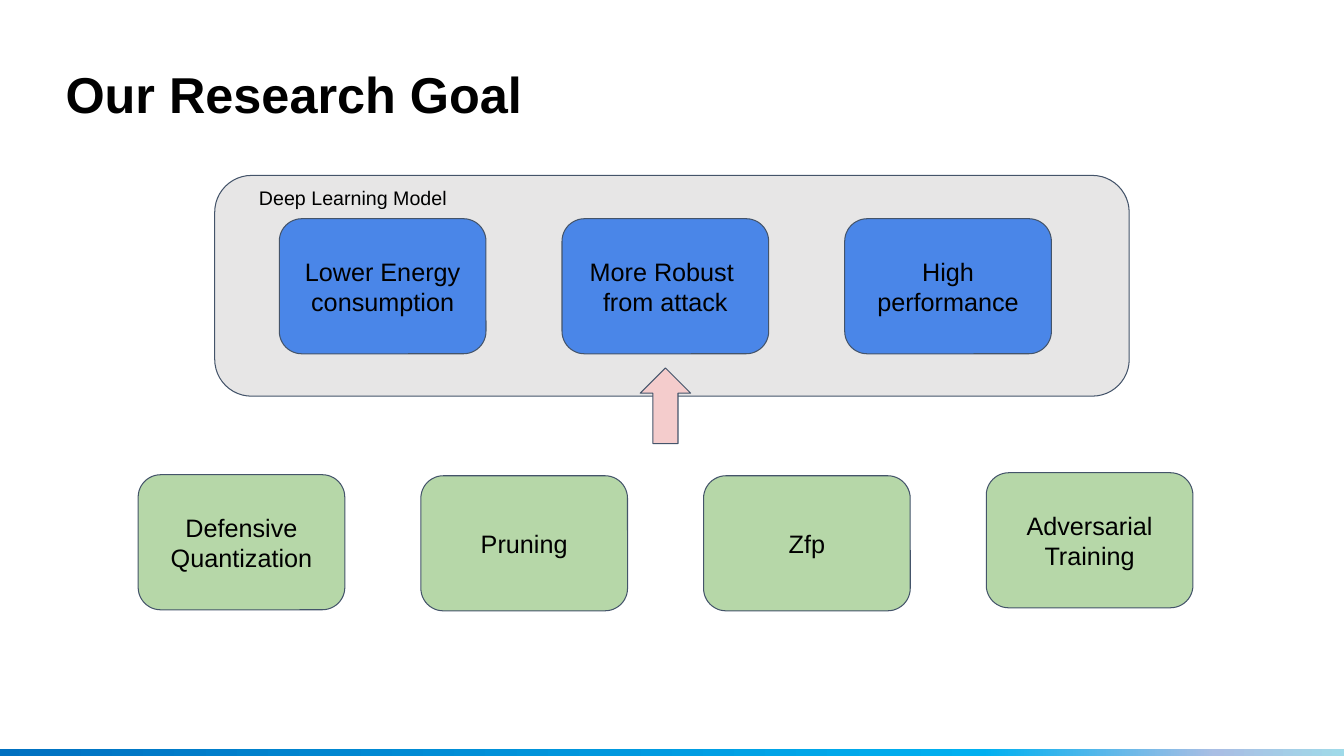
"""Build the research goal slide: techniques that lead to a better deep learning model."""
from copy import deepcopy

from pptx import Presentation
from pptx.dml.color import RGBColor
from pptx.enum import shapes, text
from pptx.util import Inches, Pt

TITLE = "Our Research Goal"
MODEL = "Deep Learning Model"
GOALS = [
    ("Lower Energy\nconsumption", 2.17),
    ("More Robust \nfrom attack", 2.17),
    ("High performance", 2.17),
]
TECHNIQUES = [
    ("Defensive\nQuantization", 4.71),
    ("Pruning", 4.72),
    ("Zfp", 4.72),
    ("Adversarial Training", 4.69),
]
ROWS = [(GOALS, 2.77, "4A86E8"), (TECHNIQUES, 1.37, "B6D7A8")]
CARD_WIDTH, CARD_HEIGHT, CARD_STEP = 2.05, 1.34, 2.804
BAR_STOPS = [(0, "0070C0"), (0.73, "00B0F0"), (0.9, "A9BEE4"), (1, "9FDBE9")]
KIND = shapes.MSO_SHAPE


def color(value):
    return RGBColor.from_string(value)


def write(shape, words, size, align, anchor, inset=0.1, bold=False):
    frame = shape.text_frame
    frame.word_wrap = True
    frame.auto_size = text.MSO_AUTO_SIZE.NONE
    frame.vertical_anchor = anchor
    frame.margin_left = frame.margin_right = Inches(0.1)
    frame.margin_top = frame.margin_bottom = Inches(inset)
    frame.text = words
    for para in frame.paragraphs:
        para.alignment = align
        for span in para.runs:
            span.font.name = "Arial"
            span.font.size = Pt(size)
            span.font.bold = bold
            span.font.color.rgb = color("000000")


def add_block(page, kind, area, fill):
    shape = page.shapes.add_shape(kind, *map(Inches, area))
    shape.shadow.inherit = False
    shape.fill.solid()
    shape.fill.fore_color.rgb = color(fill)
    shape.line.color.rgb = color("44546A")
    shape.line.width = Pt(0.75)
    return shape


def add_bar(page):
    bar = add_block(page, KIND.RECTANGLE, (-0.12, 7.43, 13.52, 0.17), "0070C0")
    bar.line.fill.background()
    bar.fill.gradient()
    bar.fill.gradient_angle = 0
    stop_list = bar.fill.gradient_stops[0]._gs.getparent()
    while len(stop_list) < len(BAR_STOPS):
        stop_list.append(deepcopy(stop_list[0]))
    for stop, (position, value) in zip(bar.fill.gradient_stops, BAR_STOPS):
        stop.position = position
        stop.color.rgb = color(value)


def main():
    deck = Presentation()
    deck.slide_width, deck.slide_height = Inches(13.33), Inches(7.5)
    page = deck.slides.add_slide(deck.slide_layouts[5])
    left, center = text.PP_ALIGN.LEFT, text.PP_ALIGN.CENTER
    top, middle = text.MSO_ANCHOR.TOP, text.MSO_ANCHOR.MIDDLE

    title = page.shapes.title
    title.left, title.top = Inches(0.55), Inches(0.58)
    title.width, title.height = Inches(10.48), Inches(0.7)
    write(title, TITLE, 36, left, top, inset=0.05, bold=True)

    add_block(page, KIND.ROUNDED_RECTANGLE, (2.13, 1.74, 9.07, 2.19), "E7E6E6")
    add_bar(page)
    for cards, start, fill in ROWS:
        for index, (words, y) in enumerate(cards):
            area = (start + index * CARD_STEP, y, CARD_WIDTH, CARD_HEIGHT)
            card = add_block(page, KIND.ROUNDED_RECTANGLE, area, fill)
            write(card, words, 18, center, middle)

    add_block(page, KIND.UP_ARROW, (6.35, 3.65, 0.5, 0.75), "F4CCCC")
    label = page.shapes.add_textbox(*map(Inches, (2.47, 1.74, 3.11, 0.7)))
    write(label, MODEL, 14, left, top)
    deck.save("out.pptx")


if __name__ == "__main__":
    main()
